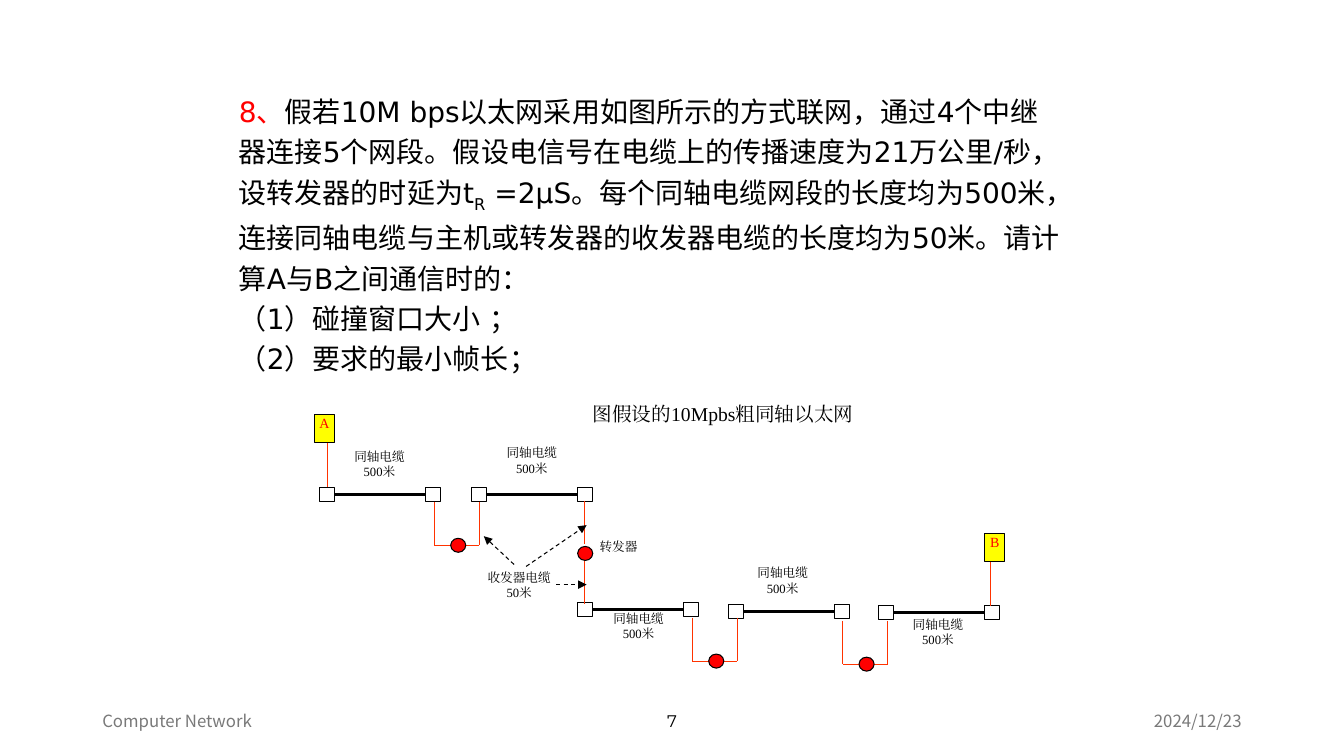
from pptx import Presentation
from pptx import util as u
from pptx.dml import color as col
from pptx.enum import dml, shapes, text
from pptx.oxml import ns, xmlchemy

Pt = u.Pt
LEFT, CENTER, RIGHT = text.PP_ALIGN.LEFT, text.PP_ALIGN.CENTER, text.PP_ALIGN.RIGHT
TOP, MIDDLE = text.MSO_ANCHOR.TOP, text.MSO_ANCHOR.MIDDLE
RECT, OVAL = shapes.MSO_SHAPE.RECTANGLE, shapes.MSO_SHAPE.OVAL


def rgb(value):
    return col.RGBColor.from_string(value)


def add_run(p, content, size=9, font="Times New Roman", color="000000", base=0):
    r = p.add_run()
    r.text = content
    r.font.size = Pt(size)
    r.font.name = font
    r.font.color.rgb = rgb(color)
    ea = xmlchemy.OxmlElement("a:ea")
    ea.set("typeface", font)
    r.font._element.find(ns.qn("a:latin")).addnext(ea)
    if base:
        r.font._element.set("baseline", str(base * 1000))


class Deck:
    BLACK, WHITE, RED, YELLOW, WIRE = "000000", "FFFFFF", "FF0000", "FFFF00", "FF3300"
    NODE_W, NODE_H = 10.8, 10

    def __init__(self, width, height):
        self.prs = Presentation()
        self.prs.slide_width, self.prs.slide_height = Pt(width), Pt(height)
        self.s = self.prs.slides.add_slide(self.prs.slide_layouts[6])

    def fill_text(self, sp, paragraphs, align=LEFT, anchor=TOP,
                  insets=(7.2, 3.6, 7.2, 3.6), spacing=None, **fmt):
        """Each paragraph is a list of (text, format) runs or a plain string."""
        tf = sp.text_frame
        tf.word_wrap = True
        tf.vertical_anchor = anchor
        tf.margin_left, tf.margin_top, tf.margin_right, tf.margin_bottom = map(Pt, insets)
        for i, runs in enumerate(paragraphs):
            p = tf.add_paragraph() if i else tf.paragraphs[0]
            p.alignment = align
            if spacing:
                p.line_spacing = spacing
            for content, extra in [(runs, {})] if isinstance(runs, str) else runs:
                add_run(p, content, **{**fmt, **extra})

    def text(self, x, y, w, h, paragraphs, **fmt):
        sp = self.s.shapes.add_textbox(Pt(x), Pt(y), Pt(w), Pt(h))
        self.fill_text(sp, paragraphs, **fmt)

    def shape(self, kind, x, y, w, h, fill, line=None):
        sp = self.s.shapes.add_shape(kind, Pt(x), Pt(y), Pt(w), Pt(h))
        sp.shadow.inherit = False
        sp.fill.solid()
        sp.fill.fore_color.rgb = rgb(fill)
        if line:
            sp.line.color.rgb = rgb(line)
            sp.line.width = Pt(0.75)
        else:
            sp.line.fill.background()
        return sp

    def line(self, x1, y1, x2, y2, color=WIRE, width=0.75, arrow=False):
        c = self.s.shapes.add_connector(
            shapes.MSO_CONNECTOR.STRAIGHT, Pt(x1), Pt(y1), Pt(x2), Pt(y2))
        c.line.color.rgb = rgb(color)
        c.line.width = Pt(width)
        if arrow:
            c.line.dash_style = dml.MSO_LINE.DASH
            tail = xmlchemy.OxmlElement("a:tailEnd")
            tail.set("type", "triangle")
            c.line._get_or_add_ln().append(tail)
        c._element.spPr.append(xmlchemy.OxmlElement("a:effectLst"))

    def label(self, x, y, w, h, paragraphs, align=CENTER):
        self.fill_text(self.shape(RECT, x, y, w, h, self.WHITE), paragraphs, align=align)

    def node(self, kind, cx, cy, fill):
        w, h = self.NODE_W, self.NODE_H
        self.shape(kind, cx - w / 2, cy - h / 2, w, h, fill, self.BLACK)

    def segment(self, x, y, length=75.6):
        """Coaxial cable with a transceiver centred on each end."""
        self.line(x, y, x + length, y, self.BLACK, 2.25)
        for cx in (x, x + length):
            self.node(RECT, cx, y, self.WHITE)

    def loop(self, x, y, width=32, drop=31):
        """Repeater hanging between two segments."""
        for leg in (x, x + width):
            self.line(leg, y - drop, leg, y)
        self.line(x, y, x + width, y)
        self.node(OVAL, x + 17, y, self.RED)

    def station(self, name, x, y, wire_x):
        sp = self.shape(RECT, x, y, 14.4, 20.2, self.YELLOW, self.BLACK)
        self.fill_text(sp, [name], align=CENTER, insets=(0, 0, 0, 2.9), size=10, color=self.RED)
        self.line(wire_x, y + 20.9, wire_x, y + 51.9)


def main():
    d = Deck(960, 540)

    # Footer
    grey = dict(font="Noto Sans CJK SC", color="797979")
    for x, w, content, align, fmt in (
            (66, 216, "Computer Network", LEFT, grey),
            (318, 324, "7", CENTER, dict(font="Montserrat")),
            (678, 216, "2024/12/23", RIGHT, grey)):
        d.text(x, 500.4, w, 28.8, [content], align=align, anchor=MIDDLE, size=12, **fmt)

    # Problem statement
    d.text(170.6, 62.6, 587.5, 232.6, [
        [("8、", dict(color=d.RED)),
         ("假若10M bps以太网采用如图所示的方式联网，通过4个中继器连接5个网段。"
          "假设电信号在电缆上的传播速度为21万公里/秒，设转发器的时延为t", {}),
         ("R", dict(base=-25)),
         (" =2μS。每个同轴电缆网段的长度均为500米，连接同轴电缆与主机或转发器的"
          "收发器电缆的长度均为50米。请计算A与B之间通信时的：", {})],
        "（1）碰撞窗口大小 ；",
        "（2）要求的最小帧长；",
    ], insets=(0, 0, 0, 0), spacing=1.2, size=20, font="DejaVu Sans")

    # Diagram labels
    d.label(333.4, 403.2, 74.9, 38.9, ["收发器电缆", "50米"])
    for x, y in ((637.9, 437), (527, 400.3), (424.1, 432.7), (239, 316.8), (347.8, 314.6)):
        d.label(x, y, 64.1, 38.9, ["同轴电缆", "500米"])
    d.label(421.2, 381.6, 64.1, 25.2, ["转发器"], align=LEFT)

    # Cable segments
    for x, y in ((233.8, 353.2), (342.4, 353.2), (418, 435.6), (526, 436.8), (633.2, 437.8)):
        d.segment(x, y)

    # Repeaters and transceiver cables
    for x, y in ((310.3, 389.5), (494.6, 472.2), (602, 474.4)):
        d.loop(x, y)
    for y in (357.8, 400.3):
        d.line(417.6, y, 417.6, y + 31)
    d.node(OVAL, 418, 395.3, d.RED)

    # Hosts
    d.station("A", 224.6, 295.9, 234)
    d.station("B", 703.4, 380.9, 707.8)

    # Pointers from the transceiver cable label
    for ends in ((367.2, 403.2, 345.6, 383), (375.8, 404.6, 419, 375.1),
                 (397.4, 417.6, 419, 417.6)):
        d.line(*ends, color=d.BLACK, arrow=True)

    # Caption
    d.text(388, 287.3, 257, 16.6, ["图假设的10Mpbs粗同轴以太网"],
           align=CENTER, anchor=MIDDLE, insets=(0, 0, 0, 0), size=14)

    d.prs.save("out.pptx")


if __name__ == "__main__":
    main()
